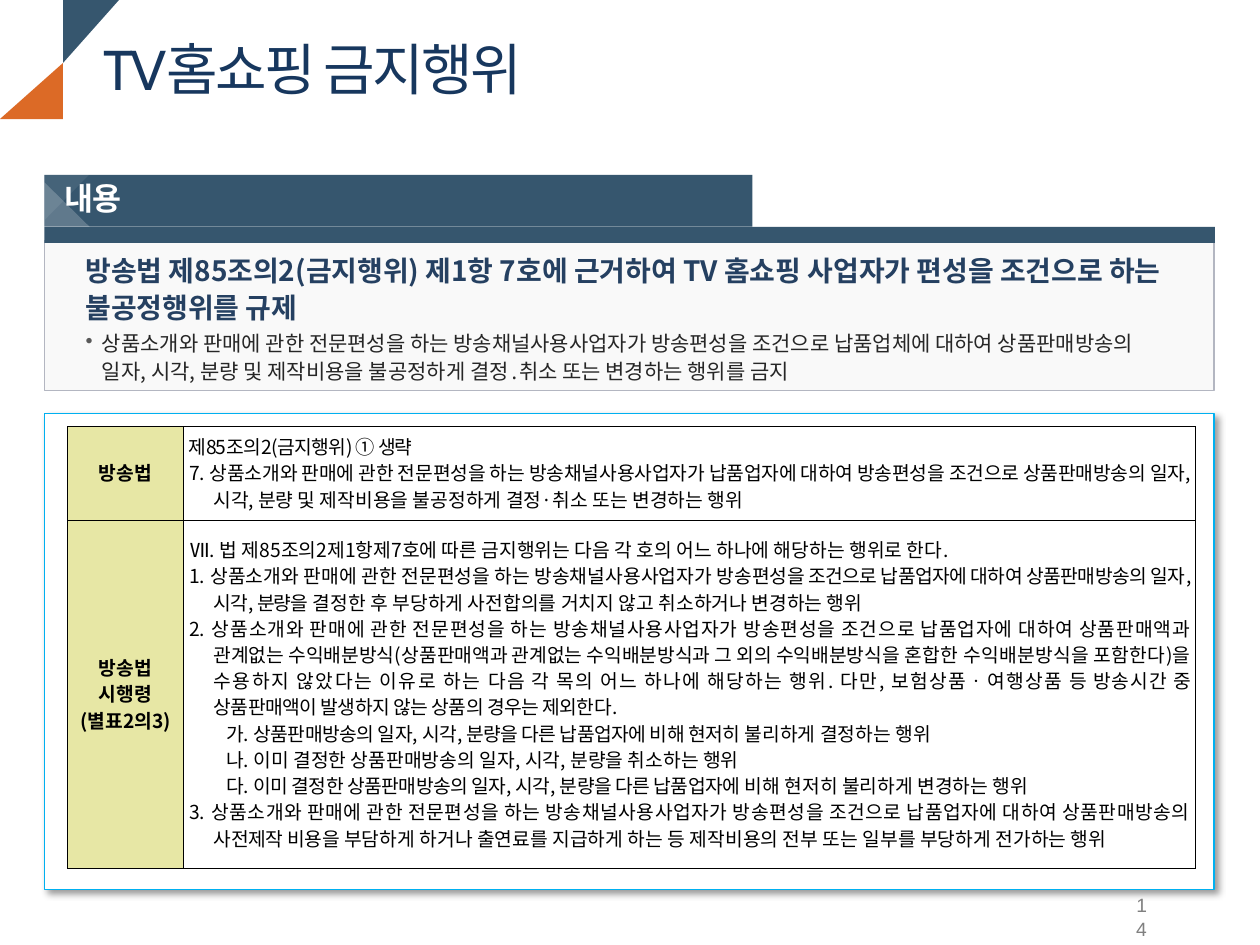
"""Build the slide on prohibited acts in TV home shopping."""
from lxml.etree import SubElement
from pptx import Presentation
from pptx.dml.color import RGBColor
from pptx.enum.shapes import MSO_SHAPE
from pptx.enum.text import MSO_ANCHOR, PP_ALIGN
from pptx.oxml import parse_xml
from pptx.oxml.ns import qn
from pptx.util import Pt

SANS = "Noto Sans CJK KR"
NAVY, ORANGE, WHITE, BLACK = "36566E", "DC6A26", "FFFFFF", "000000"
NS = 'xmlns:a="http://schemas.openxmlformats.org/drawingml/2006/main"'

TITLE = "TV홈쇼핑 금지행위"
LEAD = "방송법 제85조의2(금지행위) 제1항 7호에 근거하여 TV 홈쇼핑 사업자가 편성을 조건으로 하는 불공정행위를 규제"
NOTE = ("상품소개와 판매에 관한 전문편성을 하는 방송채널사용사업자가 방송편성을 조건으로 납품업체에 대하여 "
        "상품판매방송의 일자, 시각, 분량 및 제작비용을 불공정하게 결정․취소 또는 변경하는 행위를 금지")
SELLER = "상품소개와 판매에 관한 전문편성을 하는 방송채널사용사업자가 "
FLAT, ITEM, ROMAN, SUB = (0, 0), (14.4, -14), (22.3, -21), (42.5, -21)

ROWS = [
    (53.3, ["방송법"], [
        (FLAT, [("제85조의2(금지행위) ① 생략", -0.5)]),
        (ITEM, [("7. ", 0),
                (SELLER + "납품업자에 대하여 방송편성을 조건으로 상품판매방송의 일자, 시각, 분량", -0.2),
                (" 및 제작비용을 불공정하게 결정·취소 또는 변경하는 행위", 0)]),
    ]),
    (199.4, ["방송법", "시행령", "(별표2의3)"], [
        (ROMAN, [("Ⅶ. 법 제85조의2제1항제7호에 따른 금지행위는 다음 각 호의 어느 하나에 해당하는 행위로 한다.", 0)]),
        (ITEM, [("1. ", 0),
                (SELLER + "방송", -0.2),
                ("편성을 조건으로 납품업자에 대하여 상품판매방송의 일자, 시각, 분량을", -0.5),
                (" 결정한 후 부당하게 사전합의를 거치지 않고 취소하거나 변경하는 행위", 0)]),
        (ITEM, [("2. ", 0),
                (SELLER + "방송편성을 조건으로 납품업자에 대하여 상품판매액과 관계없는 수익배분방식"
                 "(상품판매액과 관계없는 수익배분방식과 그 외의 수익배분방식을", -0.2),
                (" 혼합한 수익배분방식을 포함한다)을 수용하지 않았다는 이유로 하는 ", 0),
                ("다음 각 목의 어느 하나에 해당하는 행위. 다만, 보험상품ㆍ여행상품 ", -0.1),
                ("등 방송시간 중 상품판매액이 발생하지 않는 상품의 경우는 제외한다.", -0.3)]),
        (SUB, [("가. ", 0),
               ("상품판매방송의 일자, 시각, 분량을 다른 납품업자에 비해 현저히", -0.3),
               (" 불리하게 결정하는 행위", 0)]),
        (SUB, [("나. 이미 결정한 상품판매방송의 일자, 시각, 분량을 취소하는 행위", 0)]),
        (SUB, [("다. ", 0),
               ("이미 결정한 상품판매방송의 일자, 시각, 분량을 다른 납품업자에", -0.3),
               (" 비해 현저히 불리하게 변경하는 행위", 0)]),
        (ITEM, [("3. ", 0),
                (SELLER + "방송편성을 조건으로 납품업자에 대하여 상품판매방송의 사전제작 비용을", -0.2),
                (" 부담하게 하거나 출연료를 지급하게 하는 등 제작비용의 전부 또는 일부를 부당하게 전가하는 행위", 0)]),
    ]),
]


def color(code):
    return RGBColor.from_string(code)


def write(para, runs, size, code, bold=False, face=SANS, align=PP_ALIGN.LEFT, lead=None, before=0, indent=FLAT):
    for text, gap in runs:
        run = para.add_run()
        run.text = text
        if gap:
            run._r.get_or_add_rPr().set("spc", str(round(gap * 100)))
    para.alignment, para.line_spacing, para.space_before = align, lead, Pt(before)
    font = para.font
    font.size, font.bold, font.name = Pt(size), bold, face
    font.color.rgb = color(code)
    props = para._p.get_or_add_pPr()
    SubElement(props.find(qn("a:defRPr")), qn("a:ea"), typeface=SANS)
    props.set("marL", str(Pt(indent[0])))
    props.set("indent", str(Pt(indent[1])))


def paras(frame, count):
    return [frame.paragraphs[0]] + [frame.add_paragraph() for _ in range(count - 1)]


def paint(shape, fill, line=None, width=1, alpha=None):
    shape.shadow.inherit = False
    shape.fill.solid()
    shape.fill.fore_color.rgb = color(fill)
    if alpha:
        tone = shape._element.spPr.find(qn("a:solidFill"))[0]
        SubElement(tone, qn("a:alpha"), val=str(alpha * 1000))
    if line:
        shape.line.color.rgb = color(line)
        shape.line.width = Pt(width)
    else:
        shape.line.fill.background()
    return shape


def block(kind, box, *style, **extra):
    return paint(slide.shapes.add_shape(kind, *map(Pt, box)), *style, **extra)


def label(box, inset=None):
    frame = slide.shapes.add_textbox(*map(Pt, box)).text_frame
    frame.word_wrap = True
    if inset is not None:
        frame.margin_left = frame.margin_right = frame.margin_top = frame.margin_bottom = Pt(inset)
    return frame


def border(cell):
    props = cell._tc.get_or_add_tcPr()
    for spot, side in enumerate(("lnL", "lnR", "lnT", "lnB")):
        props.insert(spot, parse_xml(
            f'<a:{side} {NS} w="{Pt(0.28)}"><a:solidFill><a:srgbClr val="{BLACK}"/></a:solidFill></a:{side}>'))


deck = Presentation()
deck.slide_width, deck.slide_height = Pt(720), Pt(540)
slide = deck.slides.add_slide(deck.slide_layouts[5])

for code, points in ((NAVY, [(36, 0), (67.7, 0), (36, 36)]), (ORANGE, [(36, 67.7), (36, 36), (0, 67.7)])):
    pen = slide.shapes.build_freeform(*points[0], scale=Pt(1))
    pen.add_line_segments(points[1:], close=True)
    paint(pen.convert_to_shape(), code)

title = slide.shapes.title
title.left, title.top, title.width, title.height = map(Pt, (51.8, 15.8, 495.4, 46))
title.text_frame.vertical_anchor = MSO_ANCHOR.MIDDLE
write(title.text_frame.paragraphs[0], [(TITLE, -1.5)], 32, "17375E", face="Cabin")

LEFT, WIDE = 25.4, 668.4
block(MSO_SHAPE.RECTANGLE, (LEFT, 137.5, WIDE, 85.7), "F9F9F9", "B3B6C1")
block(MSO_SHAPE.RECTANGLE, (LEFT, 129.6, WIDE + 0.5, 9.2), NAVY)
block(MSO_SHAPE.RECTANGLE, (LEFT, 100, 404.6, 29.6), NAVY)
for top, turn, alpha in ((100, 90, 8), (104.2, 0, 21)):
    block(MSO_SHAPE.RIGHT_TRIANGLE, (LEFT, top, 25.8, 25.4), WHITE, alpha=alpha).rotation = turn

write(label((36.7, 102.2, 323.3, 21.6), 0).paragraphs[0], [("내용", -0.5)], 18, WHITE, True)

head, note = paras(label((41.8, 139.7, 635.8, 84.2)), 2)
write(head, [(LEAD, 0)], 16, "254061", True, lead=1.1, before=2)
write(note, [(NOTE, 0)], 12, "262626", lead=1.1, before=2, indent=(9.4, -9.4))
last = note._p.pPr.find(qn("a:defRPr"))
last.addprevious(parse_xml(f'<a:buClr {NS}><a:srgbClr val="595959"/></a:buClr>'))
last.addprevious(parse_xml(f'<a:buChar {NS} char="•"/>'))

panel = block(MSO_SHAPE.RECTANGLE, (LEFT, 236.2, WIDE, 272.2), WHITE, "00B0F0", 0.75)
panel._element.spPr.find(qn("a:effectLst")).append(parse_xml(
    f'<a:outerShdw {NS} blurRad="{Pt(4)}" dist="{Pt(3)}" dir="2700000" algn="tl" rotWithShape="0">'
    f'<a:srgbClr val="{BLACK}"><a:alpha val="40000"/></a:srgbClr></a:outerShdw>'))

COLS = (66.3, 578.2)
table = slide.shapes.add_table(len(ROWS), 2, Pt(38.6), Pt(243.7), Pt(sum(COLS)), Pt(252.7)).table
table.first_row = table.horz_banding = False
for col, width in zip(table.columns, COLS):
    col.width = Pt(width)
for row, (height, names, rules) in zip(table.rows, ROWS):
    row.height = Pt(height)
    for cell in row.cells:
        cell.vertical_anchor = MSO_ANCHOR.MIDDLE
        cell.margin_left = cell.margin_right = Pt(2.8)
        cell.margin_top = cell.margin_bottom = Pt(0.8)
        cell.fill.background()
        border(cell)
    key, body = row.cells
    key.fill.solid()
    key.fill.fore_color.rgb = color("E7E7A5")
    for para, name in zip(paras(key.text_frame, len(names)), names):
        write(para, [(name, 0)], 11, BLACK, True, align=PP_ALIGN.CENTER, lead=Pt(15))
    for para, (indent, runs) in zip(paras(body.text_frame, len(rules)), rules):
        write(para, runs, 11, BLACK, align=PP_ALIGN.JUSTIFY, lead=Pt(15), indent=indent)

page = label((642.2, 513.4, 19.4, 20.9))
page.vertical_anchor = MSO_ANCHOR.MIDDLE
write(page.paragraphs[0], [("14", -1)], 11, "808080", face="Arial", align=PP_ALIGN.CENTER)

deck.save("out.pptx")
